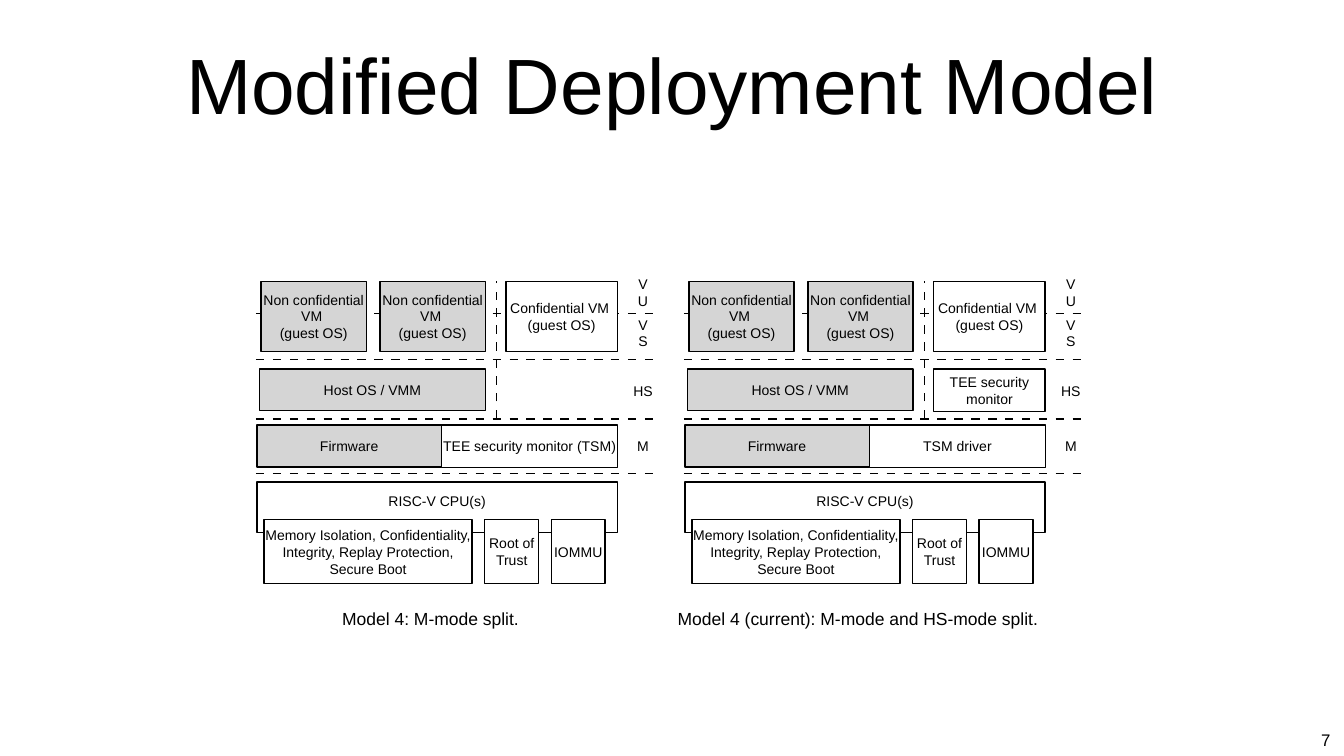
from dataclasses import dataclass

from lxml import etree
from pptx import Presentation
from pptx.dml.color import RGBColor
from pptx.enum.shapes import MSO_CONNECTOR, MSO_SHAPE
from pptx.enum.text import MSO_ANCHOR, PP_ALIGN
from pptx.oxml.ns import qn
from pptx.util import Inches, Pt

RECTANGLE = MSO_SHAPE.RECTANGLE
STRAIGHT = MSO_CONNECTOR.STRAIGHT
MIDDLE, TOP = MSO_ANCHOR.MIDDLE, MSO_ANCHOR.TOP
CENTER = PP_ALIGN.CENTER

COLORS = {"ink": "000000", "untrusted": "D5D5D5", "trusted": "FFFFFF"}
FONT = "Arial"
MODEL_LEFTS = (5.08, 13.57)
GUEST_TOP, GUEST_HEIGHT = 5.58, 1.39
HARDWARE_TOP, HARDWARE_HEIGHT = 10.31, 1.27
MODE_CENTER = 7.68
GUEST_VM = "Non confidential VM \v(guest OS)"


@dataclass(frozen=True)
class Block:
    """A labelled box; left is measured from the left edge of its model."""
    text: str
    left: float
    top: float
    width: float
    height: float
    fill: str = "trusted"
    inset: float = 0
    anchor: MSO_ANCHOR = MIDDLE


@dataclass(frozen=True)
class Mode:
    """A privilege mode label; stacked labels break between their letters."""
    text: str
    top: float
    width: float
    stacked: bool = False


@dataclass(frozen=True)
class Model:
    left: float
    caption: str
    caption_center: float
    caption_width: float
    own_blocks: tuple[Block, ...]


SHARED_BLOCKS = (
    Block(GUEST_VM, 0.1, GUEST_TOP, 2.09, GUEST_HEIGHT, "untrusted"),
    Block(GUEST_VM, 2.46, GUEST_TOP, 2.09, GUEST_HEIGHT, "untrusted"),
    Block("Confidential VM \v(guest OS)", 4.96, GUEST_TOP, 2.21, GUEST_HEIGHT),
    Block("Host OS / VMM", 0.07, 7.32, 4.48, 0.83, "untrusted"),
    Block("Firmware", 0.02, 8.43, 3.66, 0.84, "untrusted"),
    Block("RISC-V CPU(s)", 0.02, 9.56, 7.15, 1.01, inset=0.21, anchor=TOP),
    Block("Memory Isolation, Confidentiality, Integrity, Replay Protection, Secure Boot",
          0.16, HARDWARE_TOP, 4.13, HARDWARE_HEIGHT),
    Block("Root of Trust", 4.54, HARDWARE_TOP, 1.07, HARDWARE_HEIGHT),
    Block("IOMMU", 5.86, HARDWARE_TOP, 1.07, HARDWARE_HEIGHT),
)
MODES = (
    Mode("VU", 5.57, 0.47, stacked=True),
    Mode("VS", 6.38, 0.47, stacked=True),
    Mode("HS", 7.53, 0.51),
    Mode("M", 8.63, 0.37),
)
MODELS = (
    Model(MODEL_LEFTS[0], "Model 4: M-mode split. ", 8.59, 3.84,
          (Block("TEE security monitor (TSM)", 3.68, 8.43, 3.5, 0.85),)),
    Model(MODEL_LEFTS[1], "Model 4 (current): M-mode and HS-mode split. ", 17.07, 7.48,
          (Block("TSM driver", 3.68, 8.43, 3.5, 0.85),
           Block("TEE security monitor", 4.96, 7.32, 2.21, 0.85))),
)
MODE_BORDERS = (6.22, 7.13, 8.31, 9.4)


def color(name: str) -> RGBColor:
    return RGBColor.from_string(COLORS[name])


def write_text(box, text: str, size: float, inset: float,
               anchor: MSO_ANCHOR = MIDDLE, wrap: bool = True) -> None:
    frame = box.text_frame
    frame.word_wrap = wrap
    frame.vertical_anchor = anchor
    frame.margin_left = frame.margin_right = Inches(inset)
    frame.margin_top = frame.margin_bottom = Inches(inset)
    frame.text = text
    for para in frame.paragraphs:
        para.alignment = CENTER
        for span in para.runs:
            span.font.name = FONT
            span.font.size = Pt(size)
            span.font.color.rgb = color("ink")


def add_label(page, text: str, center: float, top: float, width: float, height: float,
              size: float, wrap: bool = False, anchor: MSO_ANCHOR = MIDDLE) -> None:
    box = page.shapes.add_textbox(Inches(center - width / 2), Inches(top),
                                  Inches(width), Inches(height))
    write_text(box, text, size, 0.06, anchor, wrap)


def add_block(page, block: Block, model_left: float) -> None:
    box = page.shapes.add_shape(RECTANGLE, Inches(model_left + block.left), Inches(block.top),
                                Inches(block.width), Inches(block.height))
    box.shadow.inherit = False
    box.fill.solid()
    box.fill.fore_color.rgb = color(block.fill)
    box.line.color.rgb = color("ink")
    box.line.width = Pt(2)
    write_text(box, block.text, 20, block.inset, block.anchor)


def add_dashed_line(page, x1: float, y1: float, x2: float, y2: float) -> None:
    line = page.shapes.add_connector(STRAIGHT, Inches(x1), Inches(y1), Inches(x2), Inches(y2))
    line.line.color.rgb = color("ink")
    line.line.width = Pt(2)
    properties = line._element.spPr
    dashes = etree.SubElement(properties.find(qn("a:ln")), qn("a:custDash"))
    etree.SubElement(dashes, qn("a:ds"), d="600000", sp="600000")
    etree.SubElement(properties, qn("a:effectLst"))


def add_model(page, model: Model) -> None:
    split = model.left + 4.77
    add_dashed_line(page, split, 8.3, split, 5.57)
    for border in MODE_BORDERS:
        add_dashed_line(page, model.left, border, model.left + 8.01, border)
    for block in SHARED_BLOCKS + model.own_blocks:
        add_block(page, block, model.left)
    for mode in MODES:
        add_label(page, mode.text, model.left + MODE_CENTER, mode.top, mode.width, 0.45,
                  20, wrap=mode.stacked)
    add_label(page, model.caption, model.caption_center, 12.01, model.caption_width, 0.52, 25)


def main() -> None:
    deck = Presentation()
    deck.slide_width, deck.slide_height = Inches(26.67), Inches(15)
    page = deck.slides.add_slide(deck.slide_layouts[6])
    add_label(page, "Modified Deployment Model", 13.33, 0.39, 22.97, 2.5, 112, wrap=True)
    for model in MODELS:
        add_model(page, model)
    add_label(page, "7", 26.31, 14.42, 0.31, 0.5, 24, anchor=TOP)
    deck.save("out.pptx")


if __name__ == "__main__":
    main()
